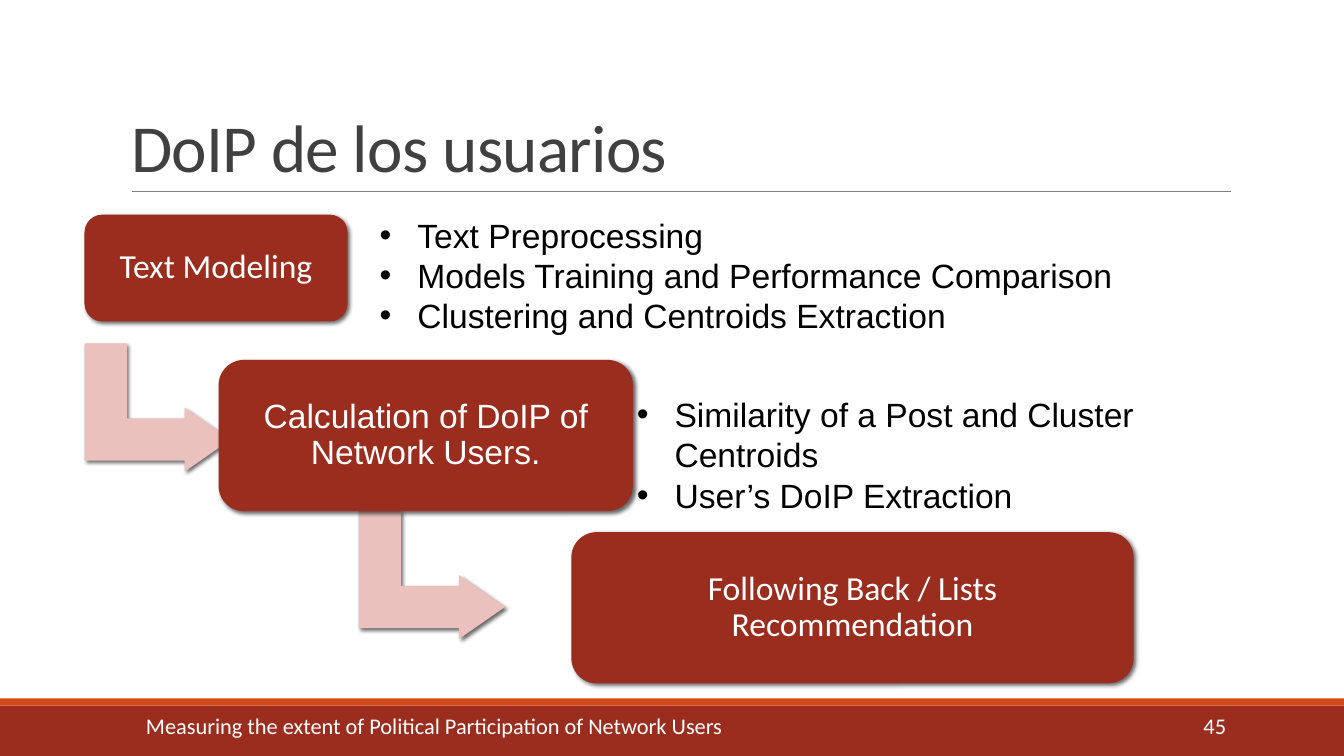
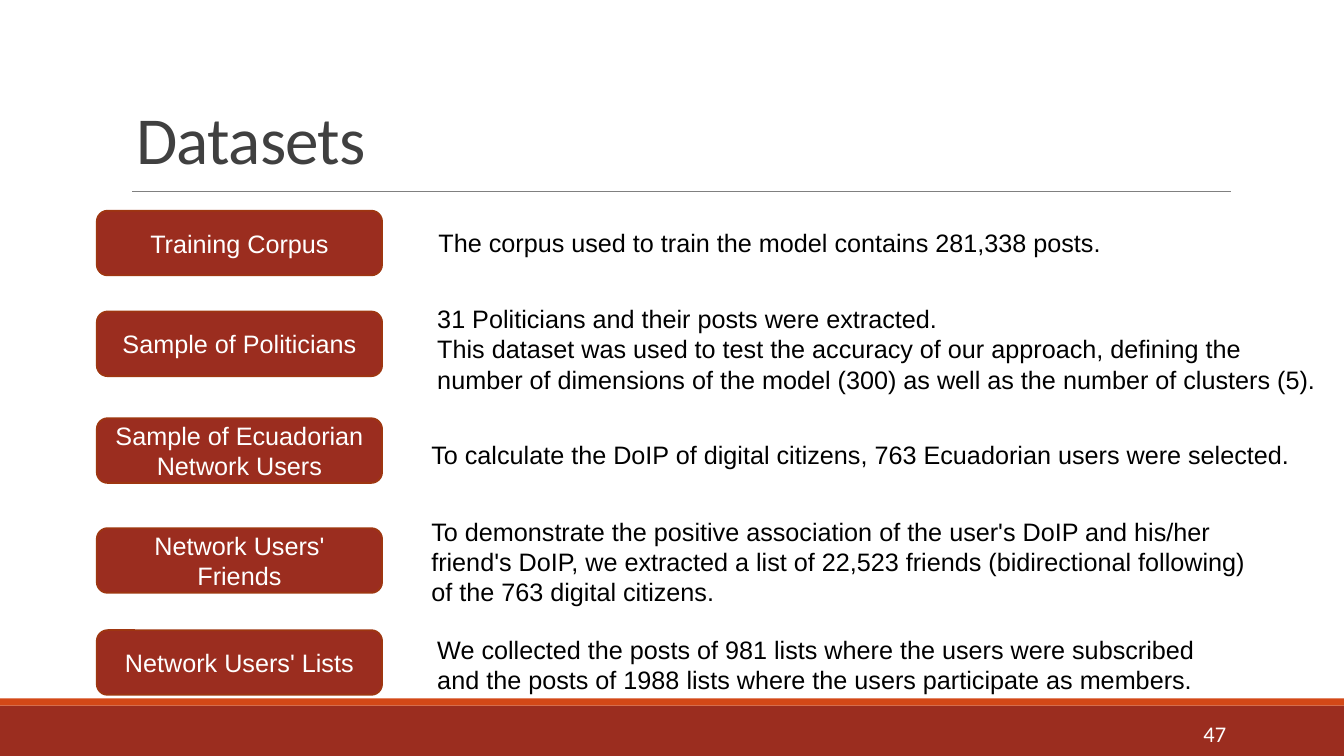
from dataclasses import dataclass
from typing import NamedTuple

import pptx
import pptx.dml.color
import pptx.enum.dml
import pptx.enum.shapes
import pptx.enum.text
import pptx.oxml
import pptx.oxml.ns
import pptx.util

Cm = pptx.util.Cm
Pt = pptx.util.Pt
Align = pptx.enum.text.PP_ALIGN
Anchor = pptx.enum.text.MSO_ANCHOR
Kind = pptx.enum.shapes.MSO_SHAPE


@dataclass(frozen=True)
class Theme:
    brick: str = "9B2D1F"
    flame: str = "D34817"
    edge: str = "9E3611"
    blush: str = "EAC1BD"
    rule: str = "808080"
    ink: str = "404040"
    black: str = "000000"
    white: str = "FFFFFF"
    sans: str = "Arial"
    head: str = "Calibri"
    title: int = 48
    large: int = 24
    body: int = 18
    foot: int = 16


class Box(NamedTuple):
    """Left, top, width and height in centimetres."""
    x: float
    y: float
    w: float
    h: float


class Step(NamedTuple):
    text: str
    font: str
    box: Box


class Points(NamedTuple):
    text: str
    box: Box


class Row(NamedTuple):
    label: str
    top: float
    text: str
    box: Box


T = Theme()
WIDE, HIGH = 33.87, 19.05

STEPS = [
    Step("Text Modeling", T.head, Box(2.13, 5.41, 6.63, 2.69)),
    Step("Calculation of DoIP of Network Users.", T.sans,
         Box(5.51, 9.07, 10.44, 3.81)),
    Step("Following Back / Lists Recommendation", T.head,
         Box(14.4, 13.41, 14.17, 3.81)),
]
BENDS = [Box(2.36, 8.43, 3.23, 3.68), Box(9.27, 12.65, 3.23, 3.68)]
POINTS = [
    Points("Similarity of a Post and Cluster Centroids\n"
           "User’s DoIP Extraction", Box(14.53, 9.8, 17.37, 3.33)),
    Points("Text Preprocessing\n"
           "Models Training and Performance Comparison\n"
           "Clustering and Centroids Extraction", Box(8.05, 5.28, 21.08, 3.33)),
]
ROWS = [
    Row("Training Corpus", 5.31,
        "The corpus used to train the model contains 281,338 posts.",
        Box(10.8, 5.61, 22.7, 1.02)),
    Row("Sample of Politicians", 7.85,
        "31 Politicians and their posts were extracted.\n"
        "This dataset was used to test the accuracy of our approach, defining "
        "the number of dimensions of the model (300) as well as the number of "
        "clusters (5).",
        Box(10.77, 7.52, 22.7, 2.57)),
    Row("Sample of Ecuadorian Network Users", 10.54,
        "To calculate the DoIP of digital citizens, 763 Ecuadorian users "
        "were selected.",
        Box(10.62, 10.95, 22.7, 1.02)),
    Row("Network Users' Friends", 13.31,
        "To demonstrate the positive association of the user's DoIP and his/her\n"
        "friend's DoIP, we extracted a list of 22,523 friends (bidirectional "
        "following)\n"
        "of the 763 digital citizens.",
        Box(10.62, 12.88, 22.7, 2.57)),
    Row("Network Users' Lists", 15.88,
        "We collected the posts of 981 lists where the users were subscribed "
        "and the posts of 1988 lists where the users participate as members.",
        Box(10.77, 15.85, 20.3, 1.8)),
]


def tint(code: str) -> pptx.dml.color.RGBColor:
    return pptx.dml.color.RGBColor.from_string(code)


def span(box: Box) -> tuple:
    return tuple(Cm(side) for side in box)


def write(shape, text: str, *, size: int = T.body, font: str = T.sans,
          color: str = T.black, align=Align.LEFT, anchor=Anchor.TOP,
          lead: float = 1.0, track: int = 0, bullet: bool = False) -> None:
    """Fill a shape with one paragraph per line of text."""
    frame = shape.text_frame
    frame.word_wrap = True
    frame.auto_size = pptx.enum.text.MSO_AUTO_SIZE.NONE
    frame.vertical_anchor = anchor
    for spot, line in enumerate(text.split("\n")):
        para = frame.add_paragraph() if spot else frame.paragraphs[0]
        para.alignment = align
        para.line_spacing = lead
        if bullet:
            mark(para)
        run = para.add_run()
        run.text = line
        run.font.size = Pt(size)
        run.font.name = font
        run.font.color.rgb = tint(color)
        if track:
            run.font._element.set("spc", str(track))


def mark(para) -> None:
    """Give a paragraph a round bullet and a hanging indent."""
    props = para._p.get_or_add_pPr()
    props.set("marL", str(Cm(2.22)))
    props.set("indent", str(-Cm(0.95)))
    for tag, key, value in (("a:buFont", "typeface", T.sans),
                            ("a:buChar", "char", "•")):
        node = pptx.oxml.ns.qn(tag)
        props.append(props.makeelement(node, {key: value}))


def shade(shape) -> None:
    """Cast a soft shadow towards the lower right."""
    space = pptx.oxml.ns.nsdecls("a")
    effect = shape._element.spPr.find(pptx.oxml.ns.qn("a:effectLst"))
    effect.append(pptx.oxml.parse_xml(
        f'<a:outerShdw {space} blurRad="{Pt(3)}" dist="{Pt(2)}" '
        'dir="2700000" algn="tl" rotWithShape="0"><a:srgbClr val="000000">'
        '<a:alpha val="60000"/></a:srgbClr></a:outerShdw>'))


def form(slide, kind, box: Box, fill: str, edge: str = ""):
    shape = slide.shapes.add_shape(kind, *span(box))
    shape.fill.solid()
    shape.fill.fore_color.rgb = tint(fill)
    if edge:
        shape.line.color.rgb = tint(edge)
        shape.line.width = Pt(1.25)
    else:
        shape.line.fill.background()
    shape.shadow.inherit = False
    return shape


def note(slide, text: str, box: Box, **style) -> None:
    write(slide.shapes.add_textbox(*span(box)), text, **style)


def label(slide, text: str, box: Box, edge: str = "", **style):
    shape = form(slide, Kind.ROUNDED_RECTANGLE, box, T.brick, edge)
    write(shape, text, color=T.white, align=Align.CENTER,
          anchor=Anchor.MIDDLE, **style)
    return shape


def start(deck, title: str, box: Box):
    """Add a slide with the shared bands, rule and title."""
    slide = deck.slides.add_slide(deck.slide_layouts[5])
    form(slide, Kind.RECTANGLE, Box(0, 17.78, WIDE, 1.27), T.brick)
    form(slide, Kind.RECTANGLE, Box(0, 17.6, WIDE, 0.18), T.flame)
    rule = slide.shapes.add_connector(
        pptx.enum.shapes.MSO_CONNECTOR.STRAIGHT,
        Cm(3.33), Cm(4.83), Cm(31.01), Cm(4.83))
    rule.line.color.rgb = tint(T.rule)
    rule.line.width = Pt(0.5)
    props = rule._element.spPr
    props.append(props.makeelement(pptx.oxml.ns.qn("a:effectLst"), {}))
    head = slide.shapes.title
    head.left, head.top, head.width, head.height = span(box)
    write(head, title, size=T.title, font=T.head, color=T.ink,
          anchor=Anchor.BOTTOM, lead=0.85, track=-50)
    return slide


def foot(slide, number: str, top: float, high: float, text: str = "") -> None:
    style = dict(size=T.foot, font=T.head, color=T.white, anchor=Anchor.MIDDLE)
    if text:
        note(slide, text, Box(3.43, top, 18, high), **style)
    note(slide, number, Box(28.15, top, 3, high), align=Align.RIGHT, **style)


def flow(deck) -> None:
    slide = start(deck, "DoIP de los usuarios", Box(3.05, 0.79, 27.94, 4.04))
    for box in BENDS:
        bend = form(slide, Kind.BENT_UP_ARROW, box, T.blush)
        bend.rotation = 90
        for spot, value in enumerate((0.33, 0.25, 0.36)):
            bend.adjustments[spot] = value
        shade(bend)
    for step in STEPS:
        shade(label(slide, step.text, step.box, size=T.large,
                    font=step.font, lead=0.9))
    for item in POINTS:
        note(slide, item.text, item.box, size=T.large, bullet=True)
    foot(slide, "45", 17.6, 1.35,
         "Measuring the extent of Political Participation of Network Users")


def data(deck) -> None:
    slide = start(deck, "Datasets", Box(3.18, 1.35, 27.2, 3.28))
    for row in ROWS:
        label(slide, row.label, Box(2.44, row.top, 7.19, 1.63), T.edge)
        note(slide, row.text, row.box)
    foot(slide, "47", 18.03, 0.91)


def main() -> None:
    deck = pptx.Presentation()
    deck.slide_width, deck.slide_height = Cm(WIDE), Cm(HIGH)
    flow(deck)
    data(deck)
    deck.save("out.pptx")


if __name__ == "__main__":
    main()
